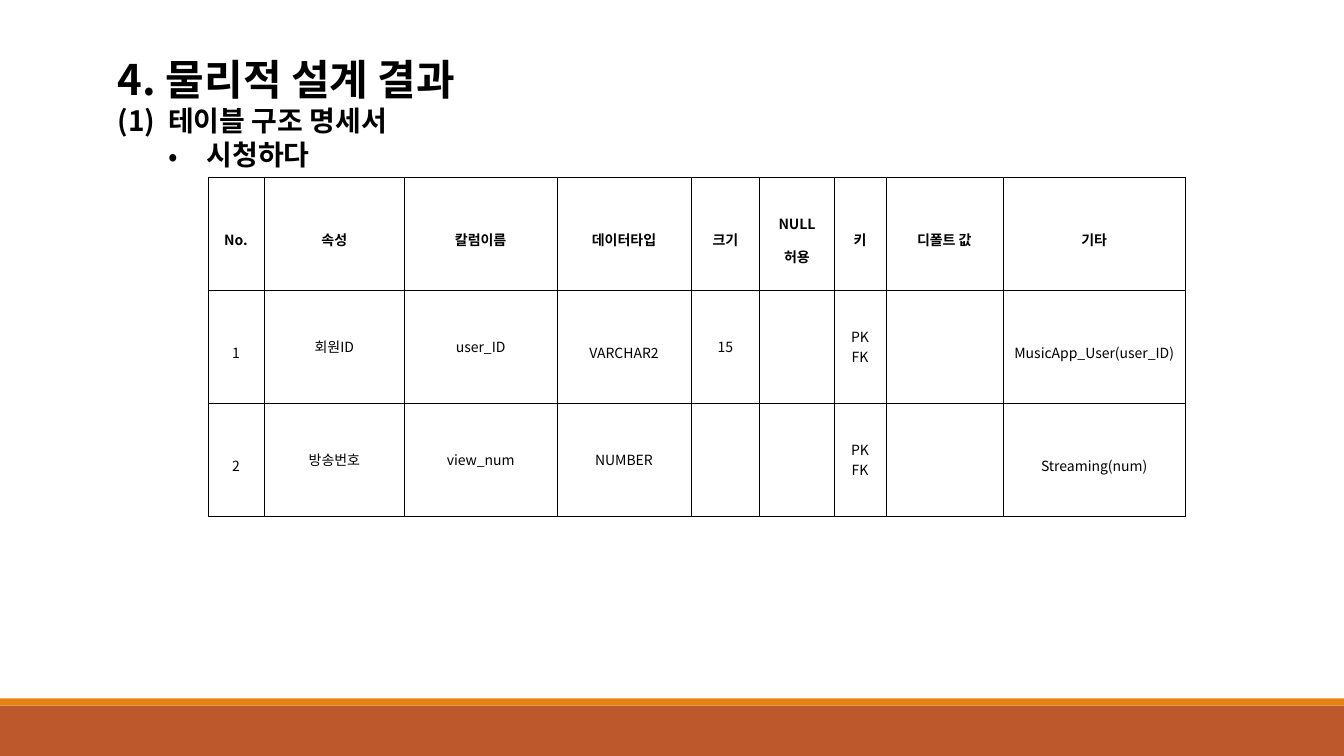
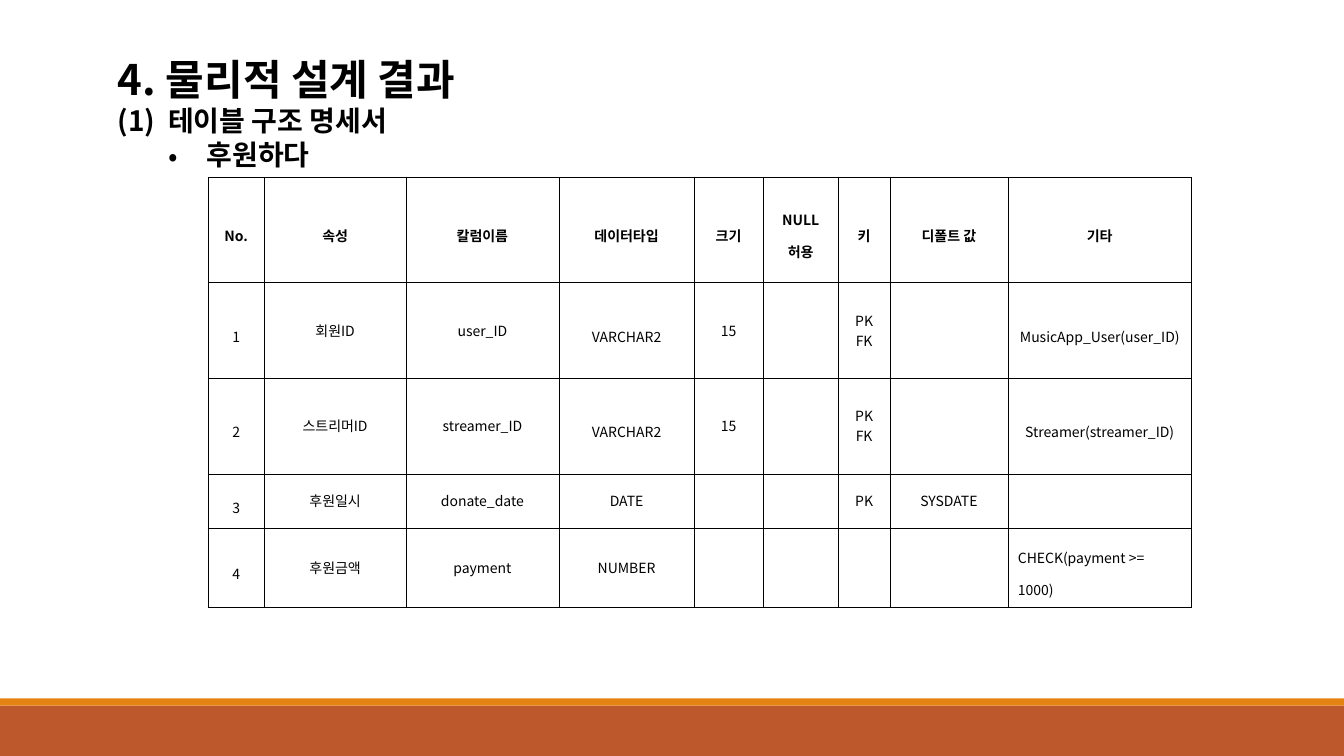
from lxml import etree
from pptx import Presentation, util as u
from pptx.dml.color import RGBColor
from pptx.enum import shapes, text
from pptx.oxml.ns import qn

W, H = 13.33, 7.5
INK, RUST, AMBER = "000000", "BD582C", "E48312"
SANS = "Noto Sans CJK KR"

# Shared parts: bands as (top, height, colour), headings as (size, indent, hang, marker)
BANDS = [(7, 0.5, RUST), (6.93, 0.07, AMBER)]
LEVELS = [
    (30, 0, 0, None),
    (20, 0.5, 0.5, ("a:buAutoNum", {"type": "arabicParenBoth"})),
    (20, 0.88, 0.38, ("a:buChar", {"char": "•"})),
]
COLS = [0.56, 1.39, 1.51, 1.33, 0.68, 0.74, 0.51, 1.16, 1.81]
LABELS = ["No.", "속성", "칼럼이름", "데이터타입", "크기", "NULL 허용", "키", "디폴트 값", "기타"]

# Each slide: topic, table width, row heights, table body
PAGES = [
    ("시청하다", 9.7, [1.12, 1.12, 1.12], [
        ["1", "회원ID", "user_ID", "VARCHAR2", "15", "", "PK FK", "", "MusicApp_User(user_ID)"],
        ["2", "방송번호", "view_num", "NUMBER", "", "", "PK FK", "", "Streaming(num)"],
    ]),
    ("후원하다", 9.76, [1.04, 0.95, 0.95, 0.54, 0.78], [
        ["1", "회원ID", "user_ID", "VARCHAR2", "15", "", "PK FK", "", "MusicApp_User(user_ID)"],
        ["2", "스트리머ID", "streamer_ID", "VARCHAR2", "15", "", "PK FK", "", "Streamer(streamer_ID)"],
        ["3", "후원일시", "donate_date", "DATE", "", "", "PK", "SYSDATE", ""],
        ["4", "후원금액", "payment", "NUMBER", "", "", "", "", "CHECK(payment >= 1000)"],
    ]),
]


def paint(fill, color):
    fill.solid()
    fill.fore_color.rgb = RGBColor.from_string(color)


def style(par, size, bold):
    par.font.size, par.font.name, par.font.bold = u.Pt(size), SANS, bold
    paint(par.font.fill, INK)


deck = Presentation()
deck.slide_width, deck.slide_height = u.Inches(W), u.Inches(H)

for topic, width, heights, body in PAGES:
    slide = deck.slides.add_slide(deck.slide_layouts[6])

    # Bottom bands
    for top, high, color in BANDS:
        band = slide.shapes.add_shape(shapes.MSO_SHAPE.RECTANGLE, 0, u.Inches(top),
                                      u.Inches(W), u.Inches(high))
        band.shadow.inherit = False
        band.line.fill.background()
        paint(band.fill, color)

    # Headings
    box = slide.shapes.add_textbox(u.Inches(1.07), u.Inches(0.48), u.Inches(4.84), u.Inches(1.28))
    frame = box.text_frame
    frame.word_wrap = True
    frame.text = "\n".join(["4. 물리적 설계 결과", "테이블 구조 명세서", topic])
    for par, (size, left, hang, mark) in zip(frame.paragraphs, LEVELS):
        style(par, size, True)
        if mark:
            tag, attrs = mark
            prop = par._p.get_or_add_pPr()
            prop.set("marL", str(u.Inches(left)))
            prop.set("indent", str(-u.Inches(hang)))
            # Bullet marks go ahead of the default run properties
            prop.insert(0, etree.Element(qn("a:buFont"), typeface=SANS))
            prop.insert(1, etree.Element(qn(tag), attrs))

    # Table grid
    rows = [LABELS] + body
    grid = slide.shapes.add_table(len(rows), len(COLS), u.Inches(2.06), u.Inches(1.76),
                                  u.Inches(width), u.Inches(sum(heights))).table
    grid.first_row = grid.horz_banding = False
    for col, share in zip(grid.columns, COLS):
        col.width = u.Inches(width * share / sum(COLS))
    for row, high in zip(grid.rows, heights):
        row.height = u.Inches(high)

    # Table cells
    for r, row in enumerate(rows):
        for c, word in enumerate(row):
            cell = grid.cell(r, c)
            cell.text = word
            cell.vertical_anchor = text.MSO_ANCHOR.MIDDLE
            tight = r == 0 or c == 0
            cell.margin_left = cell.margin_right = u.Inches(0.07 if tight else 0.1)
            cell.margin_top = cell.margin_bottom = u.Inches(0.02 if tight else 0.05)
            par = cell.text_frame.paragraphs[0]
            style(par, 10, r == 0)
            if not word.startswith("CHECK"):
                par.alignment = text.PP_ALIGN.CENTER
            if tight or c == len(COLS) - 1 or word == "VARCHAR2":
                par.line_spacing = 1.6
            prop = cell._tc.get_or_add_tcPr()
            for side in ("lnL", "lnR", "lnT", "lnB"):
                edge = etree.SubElement(prop, qn("a:" + side), w=str(u.Pt(0.28)))
                ink = etree.SubElement(edge, qn("a:solidFill"))
                etree.SubElement(ink, qn("a:srgbClr"), val=INK)
            cell.fill.background()

deck.save("out.pptx")
